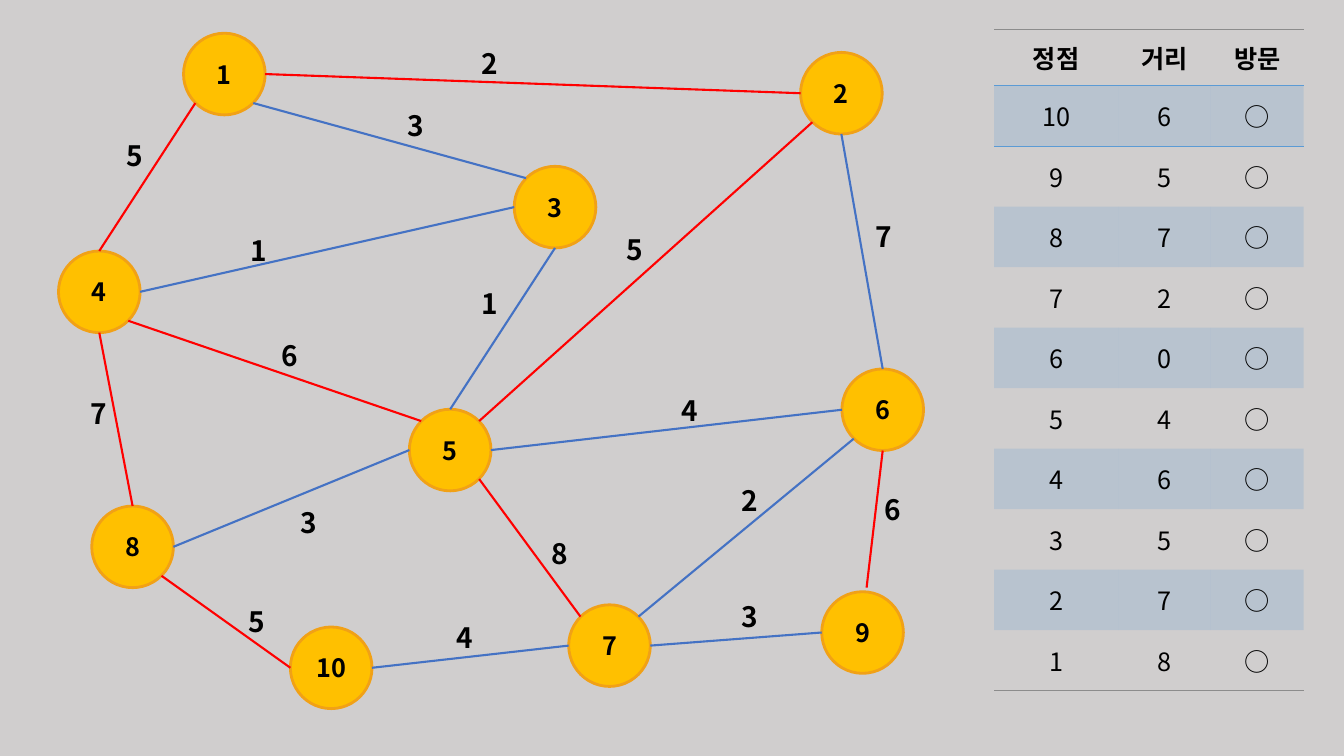
"""Draw a weighted graph with its spanning tree in red, beside a table of distances."""
from dataclasses import dataclass

from lxml import etree
from pptx import Presentation
from pptx import util as u
from pptx.dml import color
from pptx.enum import shapes, text
from pptx.oxml import ns

GREY = color.RGBColor(0xD0, 0xCE, 0xCE)
GOLD = color.RGBColor(0xFF, 0xC0, 0x00)
AMBER = color.RGBColor(0xF1, 0xA1, 0x16)
RED = color.RGBColor(0xFF, 0x00, 0x00)
BLUE = color.RGBColor(0x44, 0x72, 0xC4)
SKY = color.RGBColor(0x5B, 0x9B, 0xD5)
RULE = color.RGBColor(0x8C, 0x8C, 0x8C)
BLACK = color.RGBColor(0x00, 0x00, 0x00)
FONT = "Noto Sans CJK KR"
PLAIN = "{2D5ABB26-0587-4C30-8999-92F81FD0307C}"
SIZE = 0.81
SIDES = {"N": (0, -1), "S": (0, 1), "W": (-1, 0), "E": (1, 0),
         "NW": (-0.71, -0.71), "NE": (0.71, -0.71),
         "SW": (-0.71, 0.71), "SE": (0.71, 0.71)}


@dataclass(frozen=True)
class Node:
    left: float
    top: float

    def point(self, side: str) -> tuple[float, float]:
        dx, dy = SIDES[side]
        half = SIZE / 2
        return self.left + half * (1 + dx), self.top + half * (1 + dy)


@dataclass(frozen=True)
class Edge:
    start: int
    out: str
    end: int
    into: str
    weight: int
    left: float
    top: float
    tree: bool = False
    shift: float = 0


NODES = {
    1: Node(1.82, 0.33), 2: Node(7.94, 0.52), 3: Node(5.1, 1.65),
    4: Node(0.58, 2.49), 5: Node(4.06, 4.06), 6: Node(8.35, 3.66),
    7: Node(5.64, 6), 8: Node(0.91, 5.02), 9: Node(8.15, 5.87),
    10: Node(2.88, 6.22),
}
EDGES = [
    Edge(4, "N", 1, "SW", 5, 1.16, 1.32, True),
    Edge(3, "NW", 1, "SE", 3, 3.94, 1.03),
    Edge(2, "W", 1, "E", 2, 4.68, 0.41, True),
    Edge(2, "S", 6, "N", 7, 8.59, 2.13),
    Edge(2, "SW", 5, "NE", 5, 6.12, 2.26, True),
    Edge(3, "S", 5, "N", 1, 4.68, 2.79),
    Edge(3, "W", 4, "E", 1, 2.39, 2.27),
    Edge(4, "S", 8, "N", 7, 0.8, 3.88, True),
    Edge(5, "W", 8, "E", 3, 2.88, 4.97),
    Edge(5, "NW", 4, "SE", 6, 2.69, 3.31, True),
    Edge(5, "SE", 7, "NW", 8, 5.37, 5.27, True),
    Edge(6, "W", 5, "E", 4, 6.66, 3.85),
    Edge(9, "N", 6, "S", 6, 8.67, 4.84, True, 0.04),
    Edge(6, "SW", 7, "NE", 2, 7.26, 4.75),
    Edge(10, "E", 7, "W", 4, 4.43, 6.11),
    Edge(10, "W", 8, "SE", 5, 2.37, 5.95, True),
    Edge(9, "W", 7, "E", 3, 7.26, 5.9),
]
HEADS = ("정점", "거리", "방문")
COSTS = {10: 6, 9: 5, 8: 7, 7: 2, 6: 0, 5: 4, 4: 6, 3: 5, 2: 7, 1: 8}
WIDTHS = (1.23, 0.92, 0.92)


def write(frame, words: str, size: int, bold: bool, align) -> None:
    frame.text = words
    line = frame.paragraphs[0]
    line.alignment = align
    for run in line.runs:
        font = run.font
        font.size, font.bold, font.name = u.Pt(size), bold, FONT
        font.color.rgb = BLACK
        east = etree.SubElement(run._r.get_or_add_rPr(), ns.qn("a:ea"))
        east.set("typeface", FONT)


def draw_node(slide, name: int, node: Node) -> None:
    ball = slide.shapes.add_shape(
        shapes.MSO_SHAPE.OVAL, u.Inches(node.left), u.Inches(node.top),
        u.Inches(SIZE), u.Inches(SIZE))
    ball.shadow.inherit = False
    ball.fill.solid()
    ball.fill.fore_color.rgb = GOLD
    ball.line.color.rgb = AMBER
    ball.line.width = u.Pt(2)
    ball.text_frame.vertical_anchor = text.MSO_ANCHOR.MIDDLE
    write(ball.text_frame, str(name), 18, True, text.PP_ALIGN.CENTER)


def draw_edge(slide, edge: Edge) -> None:
    x, y = NODES[edge.start].point(edge.out)
    ends = (x + edge.shift, y - edge.shift, *NODES[edge.end].point(edge.into))
    link = slide.shapes.add_connector(
        shapes.MSO_CONNECTOR.STRAIGHT, *(u.Inches(end) for end in ends))
    link.line.color.rgb = RED if edge.tree else BLUE
    link.line.width = u.Pt(1.5)
    etree.SubElement(link._element.spPr, ns.qn("a:effectLst"))
    label = slide.shapes.add_textbox(
        u.Inches(edge.left), u.Inches(edge.top), u.Inches(0.36), u.Inches(0.44))
    label.text_frame.word_wrap = False
    label.text_frame.auto_size = text.MSO_AUTO_SIZE.SHAPE_TO_FIT_TEXT
    write(label.text_frame, str(edge.weight), 20, True, text.PP_ALIGN.LEFT)


def border(cell, side: str, tint: color.RGBColor, width: float) -> None:
    line = etree.Element(ns.qn(f"a:{side}"), w=str(u.Pt(width)))
    fill = etree.SubElement(line, ns.qn("a:solidFill"))
    etree.SubElement(fill, ns.qn("a:srgbClr"), val=str(tint))
    cell._tc.get_or_add_tcPr().insert(0, line)


def draw_table(slide) -> None:
    rows = [HEADS] + [(str(name), str(cost), "○") for name, cost in COSTS.items()]
    last = len(rows) - 1
    grid = slide.shapes.add_table(
        len(rows), len(HEADS), u.Inches(9.86), u.Inches(0.29),
        u.Inches(sum(WIDTHS)), u.Inches(6.56)).table
    grid.first_row = grid.horz_banding = False
    grid._tbl.tblPr.find(ns.qn("a:tableStyleId")).text = PLAIN
    for column, width in zip(grid.columns, WIDTHS):
        column.width = u.Inches(width)
    for r, row in enumerate(rows):
        grid.rows[r].height = u.Inches(0.6 if r else 0.56)
        for c, words in enumerate(row):
            cell = grid.cell(r, c)
            cell.vertical_anchor = text.MSO_ANCHOR.MIDDLE
            write(cell.text_frame, words, 18, r == 0, text.PP_ALIGN.CENTER)
            if r % 2:
                cell.fill.solid()
                cell.fill.fore_color.rgb = SKY
                tint = cell._tc.tcPr.find(".//" + ns.qn("a:srgbClr"))
                etree.SubElement(tint, ns.qn("a:alpha"), val="20000")
            else:
                cell.fill.background()
            if r == 0:
                border(cell, "lnB", SKY, 1)
                border(cell, "lnT", RULE, 0.5)
            elif r == 1:
                border(cell, "lnT", SKY, 1)
            elif r == last:
                border(cell, "lnB", RULE, 0.5)


def main() -> None:
    deck = Presentation()
    deck.slide_width, deck.slide_height = u.Inches(13.33), u.Inches(7.5)
    slide = deck.slides.add_slide(deck.slide_layouts[6])
    slide.background.fill.solid()
    slide.background.fill.fore_color.rgb = GREY
    for name, node in NODES.items():
        draw_node(slide, name, node)
    for edge in EDGES:
        draw_edge(slide, edge)
    draw_table(slide)
    deck.save("out.pptx")


if __name__ == "__main__":
    main()
